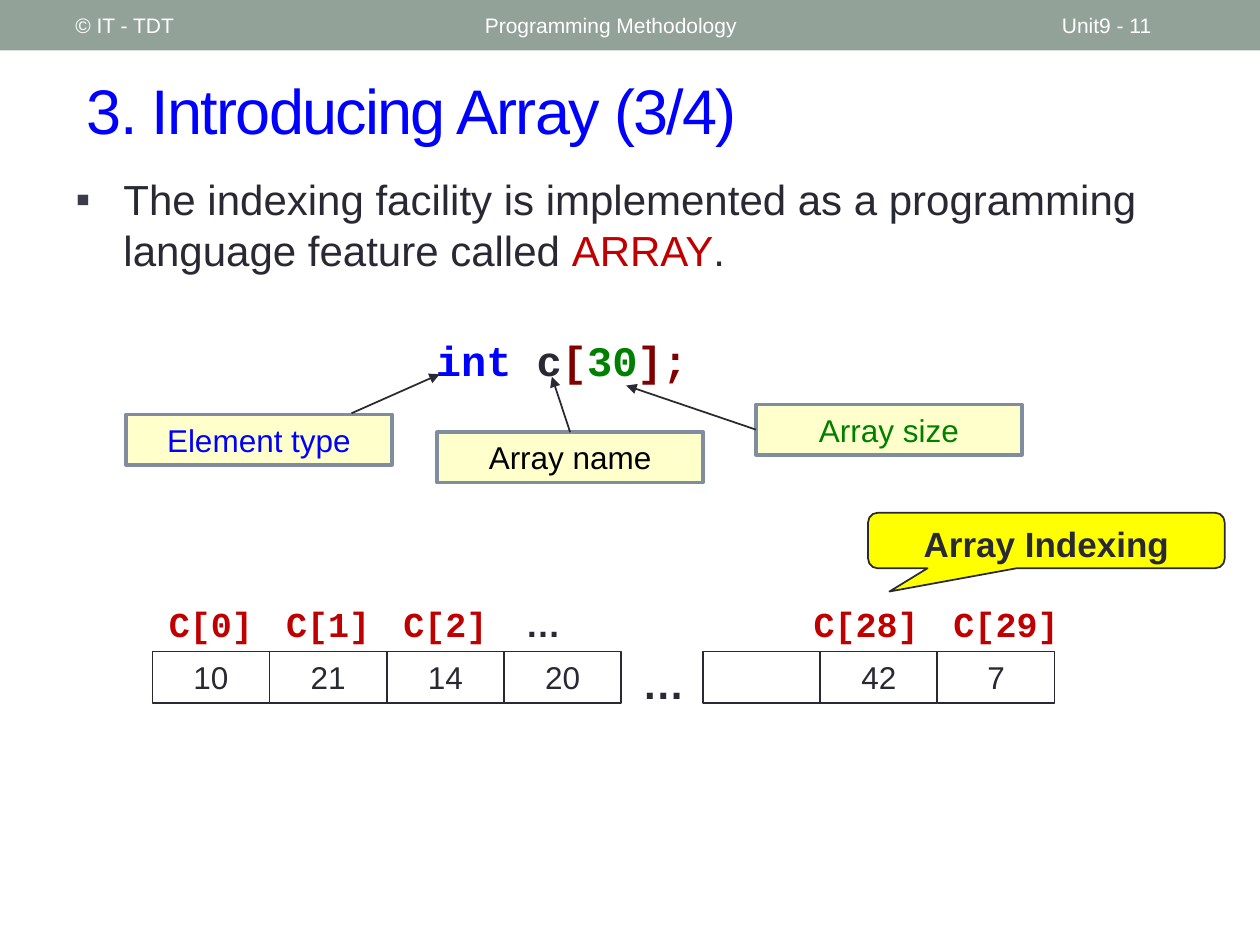
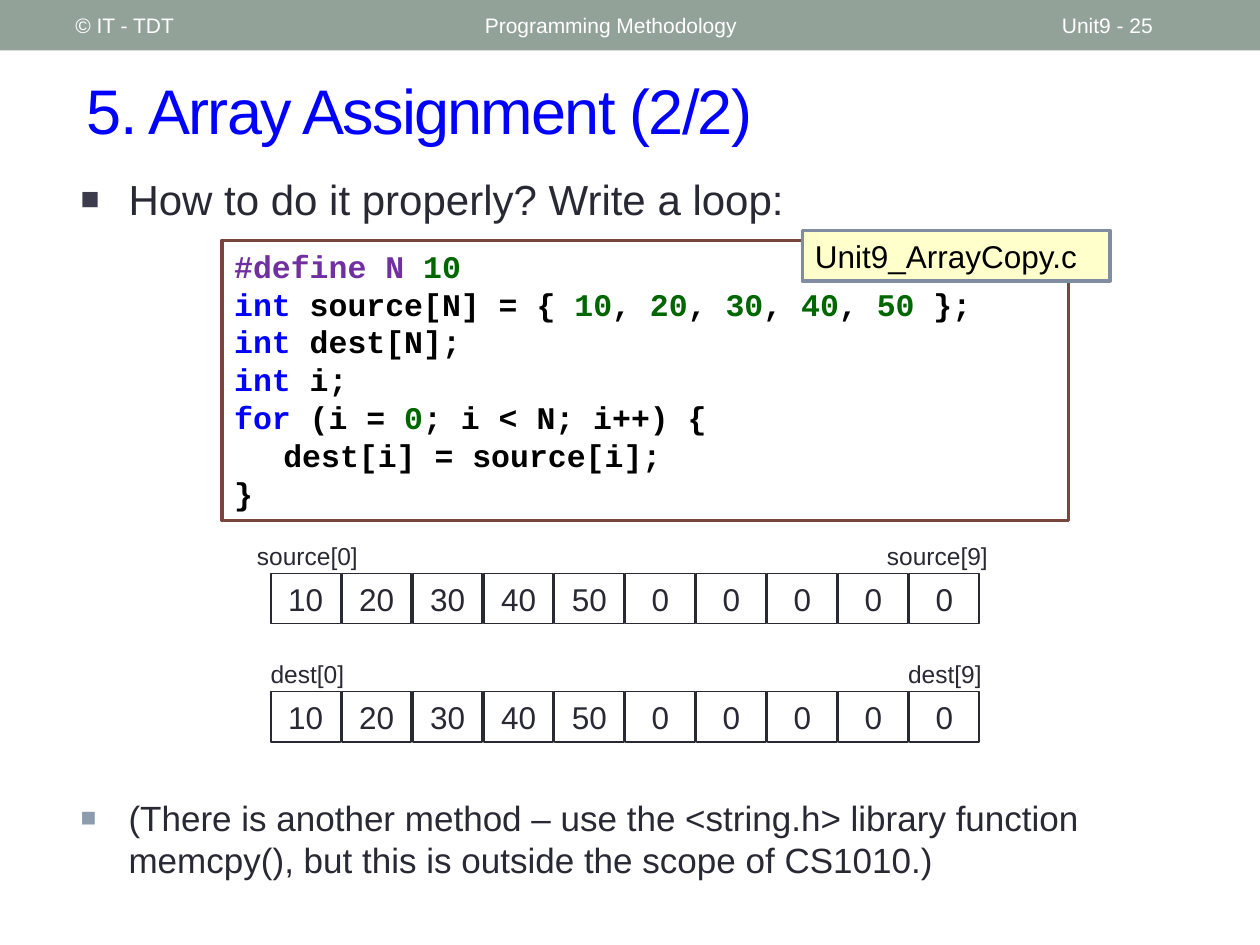
from lxml import etree
from pptx import Presentation
from pptx import util as u
from pptx.dml import color
from pptx.enum import shapes, text
from pptx.oxml import ns

Inches, Pt = u.Inches, u.Pt
ALIGN, ANCHOR = text.PP_ALIGN, text.MSO_ANCHOR

# Shared look
SANS, MONO = "Arial", "Courier New"
INK, WHITE, BLACK = "292934", "FFFFFF", "000000"
BAND, BLUE, RED, GREEN = "93A299", "0000FF", "C00000", "008000"
MAROON, PURPLE, DARK_GREEN = "800000", "7030A0", "006600"
NOTE_FILL, NOTE_LINE, CODE_LINE = "FFFFCC", "808DA0", "79463D"
CALLOUT_FILL, BULLET, PALE_BULLET = "FFFF00", "3B3B4B", "8C9CAD"


def rgb(hex_string):
    return color.RGBColor.from_string(hex_string)


def add_xml(parent, tag, **attributes):
    return etree.SubElement(parent, ns.qn(tag), attributes)


def format_font(font, size, hex_color, name=SANS, bold=False):
    font.size, font.name, font.bold = Pt(size), name, bold
    font.color.rgb = rgb(hex_color)


def write_runs(paragraph, parts, size, name=SANS, bold=False):
    """Write (wording, colour) parts as the runs of one paragraph."""
    for wording, hex_color in parts:
        run = paragraph.add_run()
        run.text = wording
        format_font(run.font, size, hex_color, name, bold)


def prepare_frame(shape, anchor=ANCHOR.MIDDLE):
    frame = shape.text_frame
    frame.word_wrap = True
    frame.auto_size = text.MSO_AUTO_SIZE.NONE
    frame.vertical_anchor = anchor
    return frame


def place(shape, box):
    shape.left, shape.top, shape.width, shape.height = map(Inches, box)


def add_label(slide, box, parts, size, name=SANS, bold=False, align=ALIGN.CENTER):
    label = slide.shapes.add_textbox(*map(Inches, box))
    paragraph = prepare_frame(label).paragraphs[0]
    paragraph.alignment = align
    write_runs(paragraph, parts, size, name, bold)


def add_box(slide, box, fill, line, width, wording="", ink=INK, size=18,
            bold=False, align=ALIGN.CENTER, kind=shapes.MSO_SHAPE.RECTANGLE):
    shape = slide.shapes.add_shape(kind, *map(Inches, box))
    shape.shadow.inherit = False
    if fill:
        shape.fill.solid()
        shape.fill.fore_color.rgb = rgb(fill)
    else:
        shape.fill.background()
    if line:
        shape.line.color.rgb = rgb(line)
        shape.line.width = Pt(width)
    else:
        shape.line.fill.background()
    frame = prepare_frame(shape)
    if wording:
        frame.text = wording
        paragraph = frame.paragraphs[0]
        paragraph.alignment = align
        format_font(paragraph.runs[0].font, size, ink, bold=bold)
    return shape


def add_note(slide, box, wording, ink=BLACK, align=ALIGN.CENTER):
    return add_box(slide, box, NOTE_FILL, NOTE_LINE, 2.08, wording, ink, align=align)


def add_arrow(slide, start, end, note=None, site=0):
    arrow = slide.shapes.add_connector(
        shapes.MSO_CONNECTOR.STRAIGHT, *map(Inches, start + end))
    if note is not None:
        arrow.begin_connect(note, site)
    arrow.line.color.rgb = rgb(INK)
    arrow.line.width = Pt(1)
    add_xml(arrow.line._get_or_add_ln(), "a:tailEnd", type="triangle")
    add_xml(arrow._element.spPr, "a:effectLst")


def fill_list(placeholder, box, parts, size, mark, mark_color, mark_size, before):
    """Turn a body placeholder into a one-item bulleted list."""
    place(placeholder, box)
    paragraph = prepare_frame(placeholder, ANCHOR.TOP).paragraphs[0]
    paragraph.space_before = Pt(before)
    write_runs(paragraph, parts, size)
    properties = paragraph._p.get_or_add_pPr()
    indent = Inches(0.38)
    properties.set("marL", str(indent))
    properties.set("indent", str(-indent))
    add_xml(add_xml(properties, "a:buClr"), "a:srgbClr", val=mark_color)
    add_xml(properties, "a:buSzPct", val=str(mark_size * 1000))
    add_xml(properties, "a:buFont", typeface=SANS)
    add_xml(properties, "a:buChar", char=mark)


def add_frame(presentation, layout, title, number):
    """Add a slide with the header band and the title."""
    slide = presentation.slides.add_slide(presentation.slide_layouts[layout])
    add_box(slide, (0, 0, 10, 0.4), BAND, None, 0)
    for left, width, wording in (
            (0.5, 3.17, "© IT - TDT"),
            (3.75, 4.5, "Programming Methodology"),
            (8.33, 1.17, f"Unit9 - {number}")):
        add_label(slide, (left, 0.02, width, 0.36), [(wording, WHITE)], 12,
                  align=ALIGN.LEFT)
    heading = slide.shapes.title
    place(heading, (0.59, 0.41, 9.17, 0.92))
    frame = prepare_frame(heading)
    frame.text = title
    paragraph = frame.paragraphs[0]
    paragraph.alignment = ALIGN.LEFT
    font = paragraph.runs[0].font
    format_font(font, 36, BLUE)
    font._element.set("spc", "-100")
    return slide


def add_cells(slide, left, top, pitch, size, values, fill, line_width):
    for index, value in enumerate(values):
        add_box(slide, (left + index * pitch, top, *size), fill, INK, line_width, value)


# Slide: array declaration
def add_declaration(slide, left, top):
    add_label(slide, (left + 2.16, top, 2.6, 0.51),
              [("int ", BLUE), ("c", INK), ("[", MAROON), ("30", GREEN), ("];", MAROON)],
              24, MONO, True)
    size = (2.11, 0.4)
    name_note = add_note(slide, (left + 2.47, top + 0.83, *size), "Array name")
    add_note(slide, (left, top + 0.69, *size), "Element type", BLUE)
    size_note = add_note(slide, (left + 5, top + 0.61, *size), "Array size", GREEN)
    add_arrow(slide, (left + 3.52, top + 0.83), (left + 3.38, top + 0.39), name_note, 0)
    add_arrow(slide, (left + 1.79, top + 0.68), (left + 2.49, top + 0.37))
    add_arrow(slide, (left + 5, top + 0.81), (left + 3.97, top + 0.46), size_note, 1)


def add_indexed_array(slide, left, top):
    pitch = 0.93
    size = (pitch, 0.41)
    row_top = top + 0.44
    add_cells(slide, left, row_top, pitch, size, ["10", "21", "14", "20"], None, 1)
    add_cells(slide, left + 4.37, row_top, pitch, size, ["", "42", "7"], None, 1)
    add_label(slide, (left + 3.76, row_top, 0.59, 0.5), [("…", INK)], 24, bold=True)
    labels = [(index * pitch, pitch, f"C[{index}]") for index in range(3)]
    labels += [(5.11, 1.11, "C[28]"), (6.22, 1.11, "C[29]")]
    for offset, width, wording in labels:
        add_label(slide, (left + offset, top, width, 0.44), [(wording, RED)],
                  20, MONO, True)
    add_label(slide, (left + 2.83, top, 0.54, 0.44), [("…", INK)], 20, bold=True)


def add_callout(slide, box):
    callout = add_box(slide, box, CALLOUT_FILL, INK, 1, "Array Indexing", size=20,
                      bold=True, kind=shapes.MSO_SHAPE.ROUNDED_RECTANGULAR_CALLOUT)
    for index, value in enumerate((-0.44, 0.92, 0.17)):
        callout.adjustments[index] = value
    callout.text_frame.margin_top = Inches(0.1)


def build_introduction(presentation):
    slide = add_frame(presentation, 1, "3. Introducing Array (3/4)", 11)
    fill_list(slide.placeholders[1], (0.5, 1.33, 8.76, 1.11),
              [("The indexing facility is implemented as a programming language "
                "feature called ", INK), ("ARRAY", RED), (".", INK)],
              24, "▪", BULLET, 100, 6)
    add_declaration(slide, 1, 2.6)
    add_indexed_array(slide, 1.21, 4.73)
    add_callout(slide, (6.89, 4.07, 2.83, 0.44))


# Slide: array assignment
def add_array_row(slide, left, top, name, last_centre):
    label_width = 1.1
    for centre, index in ((0.29, 0), (last_centre, 9)):
        add_label(slide, (left + centre - label_width / 2, top, label_width, 0.34),
                  [(f"{name}[{index}]", INK)], 14)
    values = ["10", "20", "30", "40", "50"] + ["0"] * 5
    pitch = 5.07 / (len(values) - 1)
    add_cells(slide, left, top + 0.31, pitch, (0.55, 0.4), values, WHITE, 0.75)


def add_code(slide, box):
    source_line = [("int ", BLUE), ("source[N] = { ", BLACK)]
    for number in ("10", "20", "30", "40"):
        source_line += [(number, DARK_GREEN), (", ", BLACK)]
    source_line += [("50", DARK_GREEN), (" };", BLACK)]
    lines = [
        [("#define N ", PURPLE), ("10", DARK_GREEN)],
        source_line,
        [("int ", BLUE), ("dest[N];", BLACK)],
        [("int ", BLUE), ("i;", BLACK)],
        [("for", BLUE), (" (i = ", BLACK), ("0", DARK_GREEN), ("; i < N; i++) {", BLACK)],
        [("\tdest[i] = source[i];", BLACK)],
        [("}", BLACK)],
    ]
    frame = prepare_frame(add_box(slide, box, WHITE, CODE_LINE, 2.08), ANCHOR.TOP)
    for index, parts in enumerate(lines):
        paragraph = frame.add_paragraph() if index else frame.paragraphs[0]
        paragraph.alignment = ALIGN.LEFT
        write_runs(paragraph, parts, 18, MONO, True)
        tabs = add_xml(paragraph._p.get_or_add_pPr(), "a:tabLst")
        add_xml(tabs, "a:tab", pos=str(Inches(0.39)), algn="l")
    left, top, width, _ = box
    add_note(slide, (left + width - 2.11, top - 0.08, 2.44, 0.4), "Unit9_ArrayCopy.c",
             align=ALIGN.LEFT)


def build_assignment(presentation):
    slide = add_frame(presentation, 3, "5. Array Assignment (2/2)", 25)
    fill_list(slide.placeholders[1], (0.54, 1.33, 8.89, 0.84),
              [("How to do it properly? Write a loop:", INK)], 24, "■", BULLET, 75, 12)
    fill_list(slide.placeholders[2], (0.54, 6.27, 8.89, 0.9),
              [("(There is another method – use the <string.h> library function "
                "memcpy(), but this is outside the scope of CS1010.)", INK)],
              20, "■", PALE_BULLET, 75, 12)
    add_array_row(slide, 2.15, 4.24, "source", 5.29)
    add_array_row(slide, 2.15, 5.18, "dest", 5.35)
    add_code(slide, (1.76, 1.91, 6.72, 2.22))


def main():
    presentation = Presentation()
    presentation.slide_width, presentation.slide_height = Inches(10), Inches(7.5)
    build_introduction(presentation)
    build_assignment(presentation)
    presentation.save("out.pptx")


if __name__ == "__main__":
    main()
